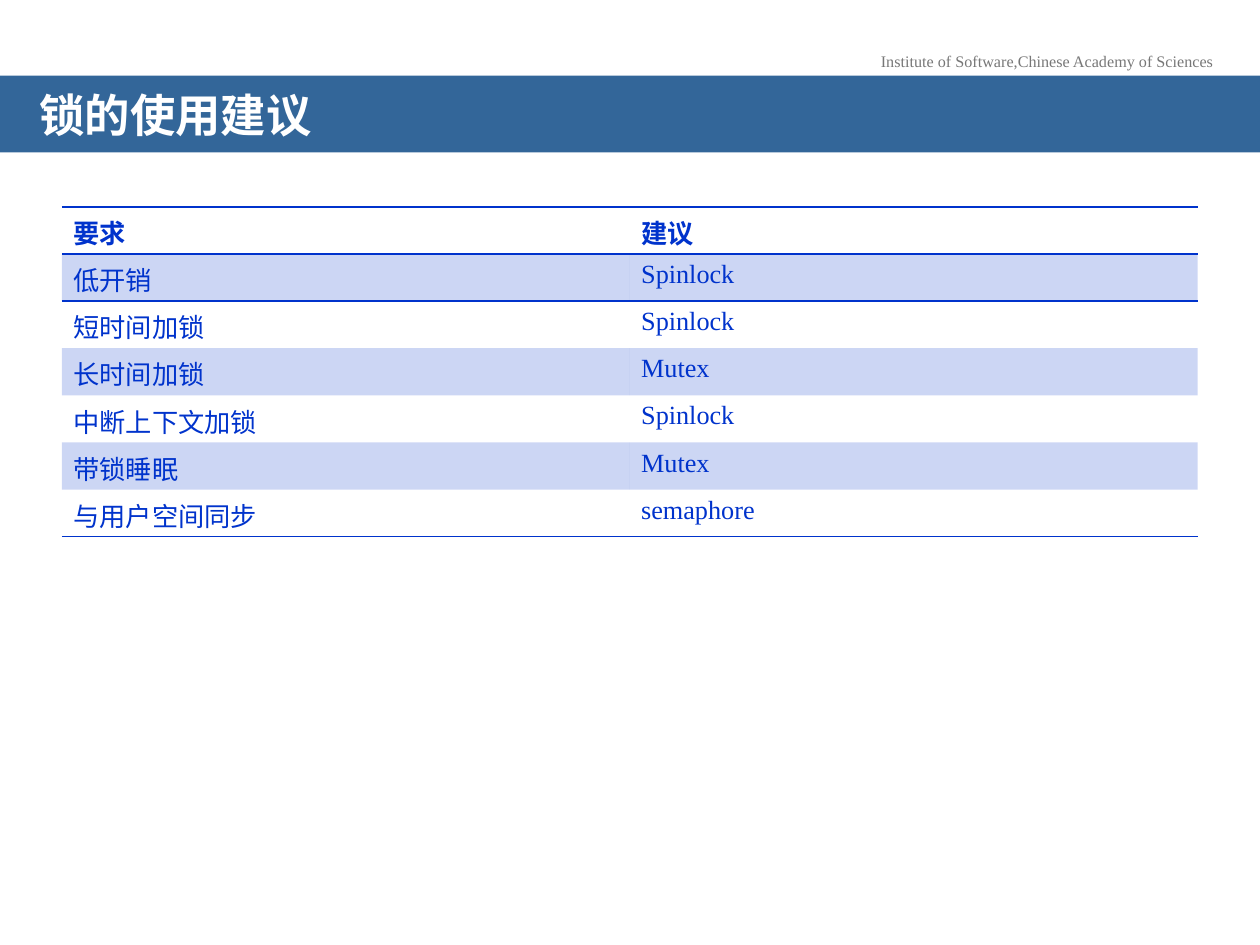
from lxml.etree import SubElement
from pptx import Presentation
from pptx.dml.color import RGBColor
from pptx.enum.shapes import MSO_SHAPE
from pptx.enum.text import MSO_ANCHOR, PP_ALIGN
from pptx.oxml import parse_xml
from pptx.oxml.ns import nsdecls, qn
from pptx.util import Pt

BLUE = RGBColor(0x00, 0x33, 0xCC)
STEEL = RGBColor(0x33, 0x66, 0x99)
GRAY = RGBColor(0x77, 0x77, 0x77)
WHITE = RGBColor(0xFF, 0xFF, 0xFF)
SERIF = "Times New Roman"
SANS = "Noto Sans CJK SC"
PLAIN = "{2D5ABB26-0587-4C30-8999-92F81FD0307C}"
ROWS = [
    ("要求", "建议"),
    ("低开销", "Spinlock"),
    ("短时间加锁", "Spinlock"),
    ("长时间加锁", "Mutex"),
    ("中断上下文加锁", "Spinlock"),
    ("带锁睡眠", "Mutex"),
    ("与用户空间同步", "semaphore"),
]


def write(frame, text, face, size, color, bold=False, align=PP_ALIGN.LEFT):
    """Put one styled paragraph in a text frame."""
    para = frame.paragraphs[0]
    para.text = text
    para.alignment = align
    font = para.font
    font.name, font.size, font.bold = face, Pt(size), bold
    font.color.rgb = color
    latin = para._p.pPr.find(qn("a:defRPr")).find(qn("a:latin"))
    latin.addnext(parse_xml(f'<a:ea {nsdecls("a")} typeface="{SANS}"/>'))
    return para


def inset(frame, left, top, right, low):
    """Set the four margins of a text frame."""
    frame.margin_left, frame.margin_top = Pt(left), Pt(top)
    frame.margin_right, frame.margin_bottom = Pt(right), Pt(low)


def rule(cell, sides):
    """Draw blue lines on the given sides of a cell, ahead of its fill."""
    props = cell._tc.get_or_add_tcPr()
    for spot, side in enumerate(sides):
        line = parse_xml(
            f'<a:ln{side} {nsdecls("a")} w="{Pt(1)}"><a:solidFill>'
            f'<a:srgbClr val="{BLUE}"/></a:solidFill></a:ln{side}>')
        props.insert(spot, line)


def tint(cell):
    """Fill a cell with blue at one fifth strength."""
    cell.fill.solid()
    cell.fill.fore_color.rgb = BLUE
    tone = cell._tc.tcPr.find(".//" + qn("a:srgbClr"))
    SubElement(tone, qn("a:alpha"), val="20000")


def add_credit(slide, left, top, width, height):
    """Place the institute line above the title."""
    box = slide.shapes.add_textbox(Pt(left), Pt(top), Pt(width), Pt(height))
    box.text_frame.word_wrap = False
    write(box.text_frame, "Institute of Software,Chinese Academy of Sciences",
          SERIF, 9.2, GRAY, align=PP_ALIGN.CENTER)


def add_title(slide, left, top, width, height):
    """Place the title band."""
    band = slide.shapes.add_shape(
        MSO_SHAPE.RECTANGLE, Pt(left), Pt(top), Pt(width), Pt(height))
    band.shadow.inherit = False
    band.fill.solid()
    band.fill.fore_color.rgb = STEEL
    band.line.fill.background()
    frame = band.text_frame
    frame.word_wrap = True
    frame.vertical_anchor = MSO_ANCHOR.MIDDLE
    inset(frame, 22.5, 11.5, 22.5, 3.6)
    para = write(frame, "锁的使用建议", SANS, 25.9, WHITE, bold=True)
    para.line_spacing = 0.7


def add_advice(slide, left, top, width, height):
    """Place the table of lock advice."""
    count = len(ROWS)
    table = slide.shapes.add_table(
        count, 2, Pt(left), Pt(top), Pt(width), Pt(height)).table
    table._tbl.tblPr.find(qn("a:tableStyleId")).text = PLAIN
    for row, texts in enumerate(ROWS):
        table.rows[row].height = Pt(height / count)
        for col, text in enumerate(texts):
            cell = table.cell(row, col)
            inset(cell, 6.5, 3.6, 6.5, 3.6)
            write(cell.text_frame, text, SERIF, 15, BLUE, bold=row == 0)
            if row % 2:
                tint(cell)
            else:
                cell.fill.background()
            if row == 0:
                rule(cell, "TB")
            elif row == 1:
                rule(cell, "T")
            elif row == count - 1:
                rule(cell, "B")


def main():
    """Build and save the slide."""
    deck = Presentation()
    deck.slide_width, deck.slide_height = Pt(720), Pt(540)
    slide = deck.slides.add_slide(deck.slide_layouts[6])
    add_credit(slide, 494.6, 26, 207.4, 18.7)
    add_advice(slide, 35.4, 118.2, 649, 188.6)
    add_title(slide, 0, 43.2, 720, 43.9)
    deck.save("out.pptx")


if __name__ == "__main__":
    main()
